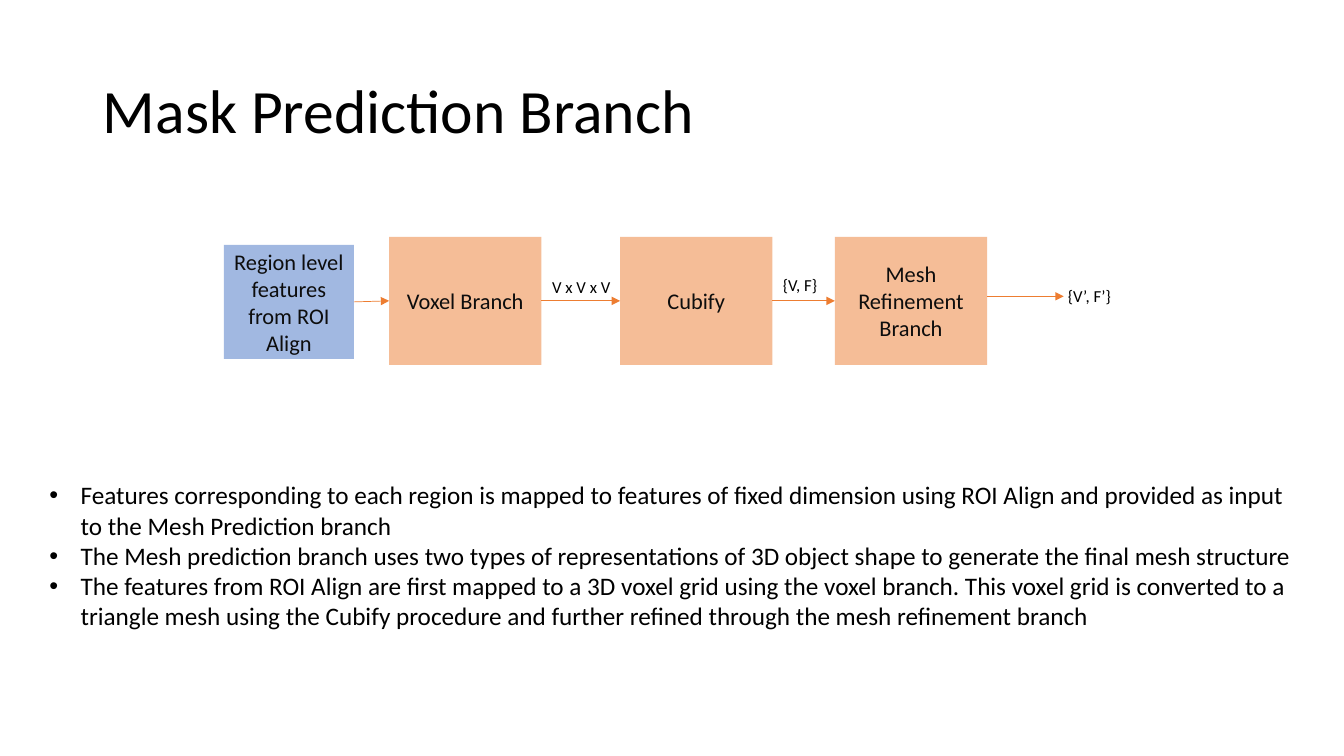
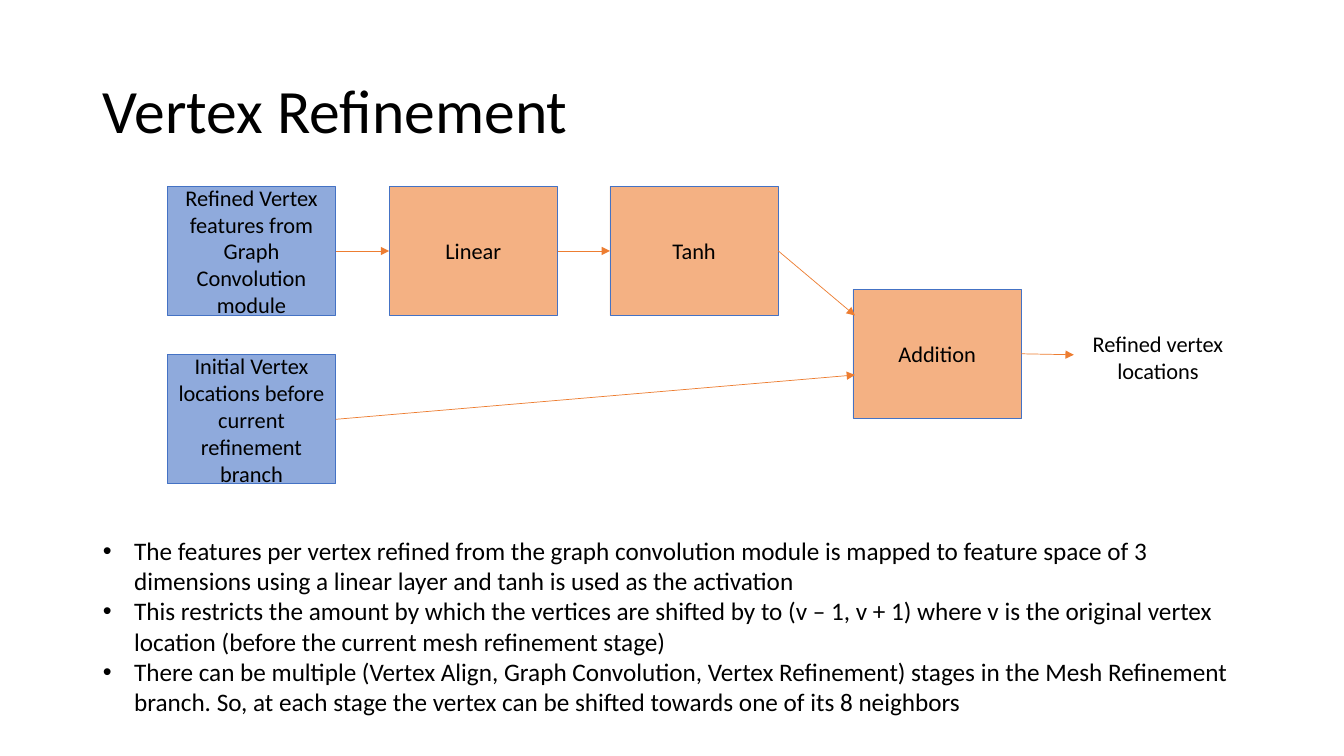
from lxml.etree import SubElement
from pptx import Presentation
from pptx.dml.color import RGBColor
from pptx.enum.shapes import MSO_CONNECTOR, MSO_SHAPE
from pptx.enum.text import MSO_ANCHOR, MSO_AUTO_SIZE, PP_ALIGN
from pptx.oxml.ns import qn
from pptx.util import Inches, Pt

BLACK = RGBColor(0x00, 0x00, 0x00)
INK = RGBColor(0x0D, 0x0D, 0x0D)
BLUE = RGBColor(0x44, 0x72, 0xC4)
ORANGE = RGBColor(0xED, 0x7D, 0x31)
LIGHT_BLUE = RGBColor(0x8F, 0xAA, 0xDC)
LIGHT_ORANGE = RGBColor(0xF4, 0xB1, 0x83)
FONT = "Calibri"
BULLET_INDENT = Inches(0.31)

STAGE = (1.51, 1.27)
LAYER = (1.67, 1.28)

SLIDES = [
    {
        "title": "Mask Prediction Branch",
        "style": {"input": BLUE, "step": ORANGE, "opacity": 50, "outline": None, "ink": INK},
        "boxes": {
            "Region level features from ROI Align": ("input", 2.22, 2.43, 1.29, 1.13),
            "Voxel Branch": ("step", 3.86, 2.35, *STAGE),
            "Cubify": ("step", 6.15, 2.35, *STAGE),
            "Mesh Refinement Branch": ("step", 8.28, 2.35, *STAGE),
        },
        "arrows": [
            ("Region level features from ROI Align", "Voxel Branch"),
            ("Voxel Branch", "Cubify"),
            ("Cubify", "Mesh Refinement Branch"),
            ((9.79, 2.94), (10.55, 2.94)),
        ],
        "labels": [
            ("V x V x V", 12, (5.37, 2.7, 0.79, 0.3)),
            ("{V, F}", 12, (7.66, 2.68, 0.55, 0.3)),
            ("{V’, F’}", 12, (10.49, 2.79, 0.63, 0.3)),
        ],
        "bullets_at": (0.39, 4.71, 12.73, 1.62),
        "bullets": [
            "Features corresponding to each region is mapped to features of fixed dimension "
            "using ROI Align and provided as input\vto the Mesh Prediction branch",
            "The Mesh prediction branch uses two types of representations of 3D object shape "
            "to generate the final mesh structure",
            "The features from ROI Align are first mapped to a 3D voxel grid using the voxel "
            "branch. This voxel grid is converted to a\vtriangle mesh using the Cubify procedure "
            "and further refined through the mesh refinement branch",
        ],
    },
    {
        "title": "Vertex Refinement",
        "style": {"input": LIGHT_BLUE, "step": LIGHT_ORANGE, "opacity": 100,
                  "outline": BLUE, "ink": BLACK},
        "boxes": {
            "Refined Vertex features from Graph Convolution module": ("input", 1.66, 1.85, *LAYER),
            "Linear": ("step", 3.86, 1.85, *LAYER),
            "Tanh": ("step", 6.05, 1.85, *LAYER),
            "Initial Vertex locations before current refinement branch":
                ("input", 1.66, 3.52, *LAYER),
            "Addition": ("step", 8.46, 2.87, *LAYER),
        },
        "arrows": [
            ("Refined Vertex features from Graph Convolution module", "Linear"),
            ("Linear", "Tanh"),
            ("Initial Vertex locations before current refinement branch", (8.48, 3.72)),
            ("Tanh", (8.48, 3.13)),
            ("Addition", (10.65, 3.52)),
        ],
        "labels": [("Refined vertex\nlocations", 16, (10.65, 3.23, 1.67, 0.64))],
        "bullets_at": (0.92, 5.26, 11.56, 1.92),
        "bullets": [
            "The features per vertex refined from the graph convolution module is mapped to "
            "feature space of 3\vdimensions using a linear layer and tanh is used as the activation",
            "This restricts the amount by which the vertices are shifted by to (v – 1, v + 1) "
            "where v is the original vertex\vlocation (before the current mesh refinement stage)",
            "There can be multiple (Vertex Align, Graph Convolution, Vertex Refinement) stages "
            "in the Mesh Refinement\vbranch. So, at each stage the vertex can be shifted towards "
            "one of its 8 neighbors",
        ],
    },
]


def inches(lengths):
    return [Inches(length) for length in lengths]


def place(placeholder, at):
    placeholder.left, placeholder.top, placeholder.width, placeholder.height = inches(at)


def write(frame, text, size, color, align):
    frame.text = text
    frame.word_wrap = True
    for paragraph in frame.paragraphs:
        paragraph.alignment = align
        for run in paragraph.runs:
            run.font.name = FONT
            run.font.size = Pt(size)
            run.font.color.rgb = color


def add_title(slide, text):
    title = slide.shapes.title
    place(title, (0.92, 0.4, 11.5, 1.45))
    write(title.text_frame, text, 44, BLACK, PP_ALIGN.LEFT)
    title.text_frame.vertical_anchor = MSO_ANCHOR.MIDDLE
    title.text_frame.paragraphs[0].line_spacing = 0.9


def add_bullets(slide, bullets, at):
    body = slide.placeholders[1]
    place(body, at)
    write(body.text_frame, "\n".join(bullets), 18, BLACK, PP_ALIGN.LEFT)
    body.text_frame.auto_size = MSO_AUTO_SIZE.NONE
    for paragraph in body.text_frame.paragraphs:
        paragraph.space_before = Pt(0)
        properties = paragraph._p.get_or_add_pPr()
        properties.set("marL", str(BULLET_INDENT))
        properties.set("indent", str(-BULLET_INDENT))


def add_box(slide, text, role, at, style):
    box = slide.shapes.add_shape(MSO_SHAPE.RECTANGLE, *inches(at))
    box.shadow.inherit = False
    box.fill.solid()
    box.fill.fore_color.rgb = style[role]
    if style["opacity"] < 100:
        color = box._element.spPr.find(qn("a:solidFill"))[0]
        SubElement(color, qn("a:alpha"), val=str(style["opacity"] * 1000))
    if style["outline"] is None:
        box.line.fill.background()
    else:
        box.line.color.rgb = style["outline"]
        box.line.width = Pt(0.5)
    write(box.text_frame, text, 16, style["ink"], PP_ALIGN.CENTER)
    box.text_frame.vertical_anchor = MSO_ANCHOR.MIDDLE


def side_middle(end, boxes, right):
    if end not in boxes:
        return end
    _, left, top, width, height = boxes[end]
    return left + width * right, top + height / 2


def add_arrow(slide, start, end):
    arrow = slide.shapes.add_connector(MSO_CONNECTOR.STRAIGHT, *inches(start + end))
    arrow.line.color.rgb = ORANGE
    arrow.line.width = Pt(0.5)
    SubElement(arrow.line._get_or_add_ln(), qn("a:tailEnd"), type="triangle")
    SubElement(arrow._element.spPr, qn("a:effectLst"))


def add_label(slide, text, size, at):
    label = slide.shapes.add_textbox(*inches(at))
    write(label.text_frame, text, size, BLACK, PP_ALIGN.CENTER)
    label.text_frame.word_wrap = False


def build(deck, content):
    slide = deck.slides.add_slide(deck.slide_layouts[1])
    boxes = content["boxes"]
    add_title(slide, content["title"])
    for text, (role, *at) in boxes.items():
        add_box(slide, text, role, at, content["style"])
    for start, end in content["arrows"]:
        add_arrow(slide, side_middle(start, boxes, True), side_middle(end, boxes, False))
    for label in content["labels"]:
        add_label(slide, *label)
    add_bullets(slide, content["bullets"], content["bullets_at"])


deck = Presentation()
deck.slide_width, deck.slide_height = inches((13.33, 7.5))
for content in SLIDES:
    build(deck, content)
deck.save("out.pptx")
